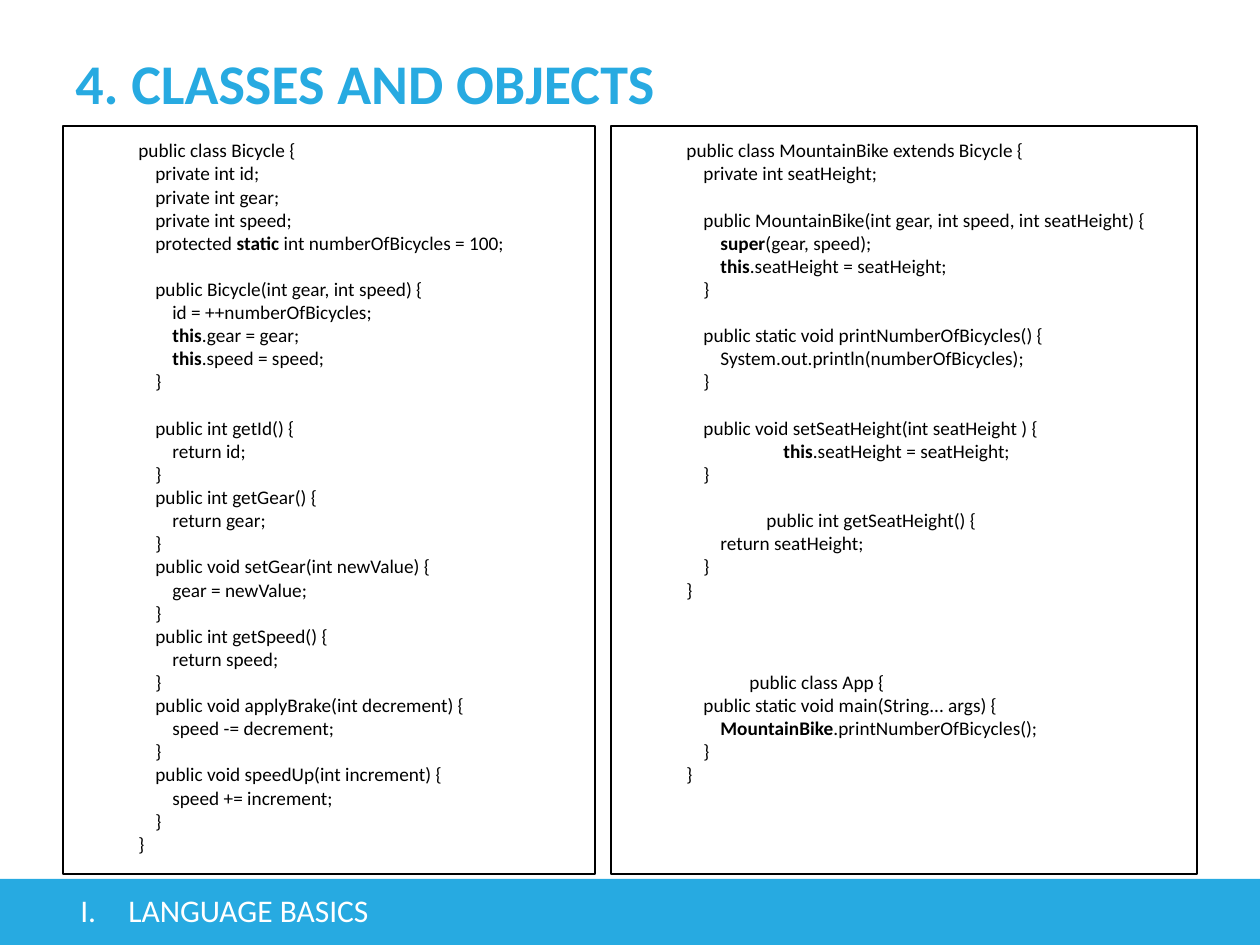
from lxml import etree
from pptx import Presentation
from pptx.dml.color import RGBColor
from pptx.enum.shapes import MSO_SHAPE
from pptx.enum.text import MSO_ANCHOR, PP_ALIGN
from pptx.oxml.ns import qn
from pptx.util import Pt

RECT = MSO_SHAPE.RECTANGLE
TOP, MIDDLE = MSO_ANCHOR.TOP, MSO_ANCHOR.MIDDLE
LEFT = PP_ALIGN.LEFT
PX = 914400 // 126

THEME = {
    "font": "Calibri",
    "blue": RGBColor(0x27, 0xAA, 0xE1),
    "white": RGBColor(0xFF, 0xFF, 0xFF),
    "black": RGBColor(0, 0, 0),
    "title": Pt(32),
    "foot": Pt(18),
    "code": Pt(11),
    "blank": 13.2,
    "line": Pt(1.5),
}
BASE, TAB, STEP = 63, 63, 17

BIKE = """public class Bicycle {
    private int id;
    private int gear;
    private int speed;
    protected **static** int numberOfBicycles = 100;

    public Bicycle(int gear, int speed) {
        id = ++numberOfBicycles;
        **this**.gear = gear;
        **this**.speed = speed;
    }

    public int getId() {
        return id;
    }
    public int getGear() {
        return gear;
    }
    public void setGear(int newValue) {
        gear = newValue;
    }
    public int getSpeed() {
        return speed;
    }
    public void applyBrake(int decrement) {
        speed -= decrement;
    }
    public void speedUp(int increment) {
        speed += increment;
    }
}"""

MOUNTAIN = """public class MountainBike extends Bicycle {
    private int seatHeight;

    public MountainBike(int gear, int speed, int seatHeight) {
        **super**(gear, speed);
        **this**.seatHeight = seatHeight;
    }

    public static void printNumberOfBicycles() {
        System.out.println(numberOfBicycles);
    }

    public void setSeatHeight(int seatHeight ) {
\t        **this**.seatHeight = seatHeight;
    }

\t    public int getSeatHeight() {
        return seatHeight;
    }
}



\tpublic class App {
    public static void main(String... args) {
        **MountainBike**.printNumberOfBicycles();
    }
}"""


def style(para, size, color):
    para.alignment = LEFT
    para.font.name = THEME["font"]
    para.font.size = THEME[size]
    para.font.color.rgb = THEME[color]


def label(text, box, size, color, anchor):
    frame = slide.shapes.add_textbox(*[n * PX for n in box]).text_frame
    frame.word_wrap = True
    frame.vertical_anchor = anchor
    para = frame.paragraphs[0]
    para.text = text
    style(para, size, color)
    return para


deck = Presentation()
deck.slide_width, deck.slide_height = 1260 * PX, 945 * PX
slide = deck.slides.add_slide(deck.slide_layouts[6])

bar = slide.shapes.add_shape(RECT, -4 * PX, 879 * PX, 1271 * PX, 82 * PX)
bar.shadow.inherit = False
bar.fill.solid()
bar.fill.fore_color.rgb = THEME["blue"]
bar.line.fill.background()

title = label("4. CLASSES AND OBJECTS", (63, 38, 863, 88), "title", "blue", MIDDLE)
title.font.bold = True

foot = label("LANGUAGE BASICS", (53, 885, 769, 60), "foot", "white", TOP)
props = foot._p.get_or_add_pPr()
props.set("marL", str(63 * PX))
props.set("indent", str(-48 * PX))
etree.SubElement(props, qn("a:buFont")).set("typeface", "+mj-lt")
etree.SubElement(props, qn("a:buAutoNum")).set("type", "romanUcPeriod")

for code, left, width in ((BIKE, 63, 532), (MOUNTAIN, 611, 586)):
    panel = slide.shapes.add_shape(RECT, left * PX, 126 * PX, width * PX, 748 * PX)
    panel.shadow.inherit = False
    panel.fill.background()
    panel.line.color.rgb = THEME["black"]
    panel.line.width = THEME["line"]
    frame = panel.text_frame
    frame.word_wrap = True
    frame.vertical_anchor = TOP
    frame.margin_left = frame.margin_right = Pt(7.2)
    frame.margin_top = frame.margin_bottom = Pt(7.2)
    para, gap = frame.paragraphs[0], 0
    for row, line in enumerate(code.split("\n")):
        if not line:
            gap += 1
            continue
        if row:
            para = frame.add_paragraph()
        style(para, "code", "black")
        para.space_before = Pt(gap * THEME["blank"])
        gap = 0
        tabs = line.count("\t")
        text = line.lstrip()
        level = (len(line) - len(text) - tabs) // 4
        props = para._p.get_or_add_pPr()
        props.set("marL", str((BASE + tabs * TAB + level * STEP) * PX))
        props.set("indent", "0")
        for part, words in enumerate(text.split("**")):
            if words:
                run = para.add_run()
                run.text = words
                run.font.bold = part % 2 == 1

deck.save("out.pptx")
